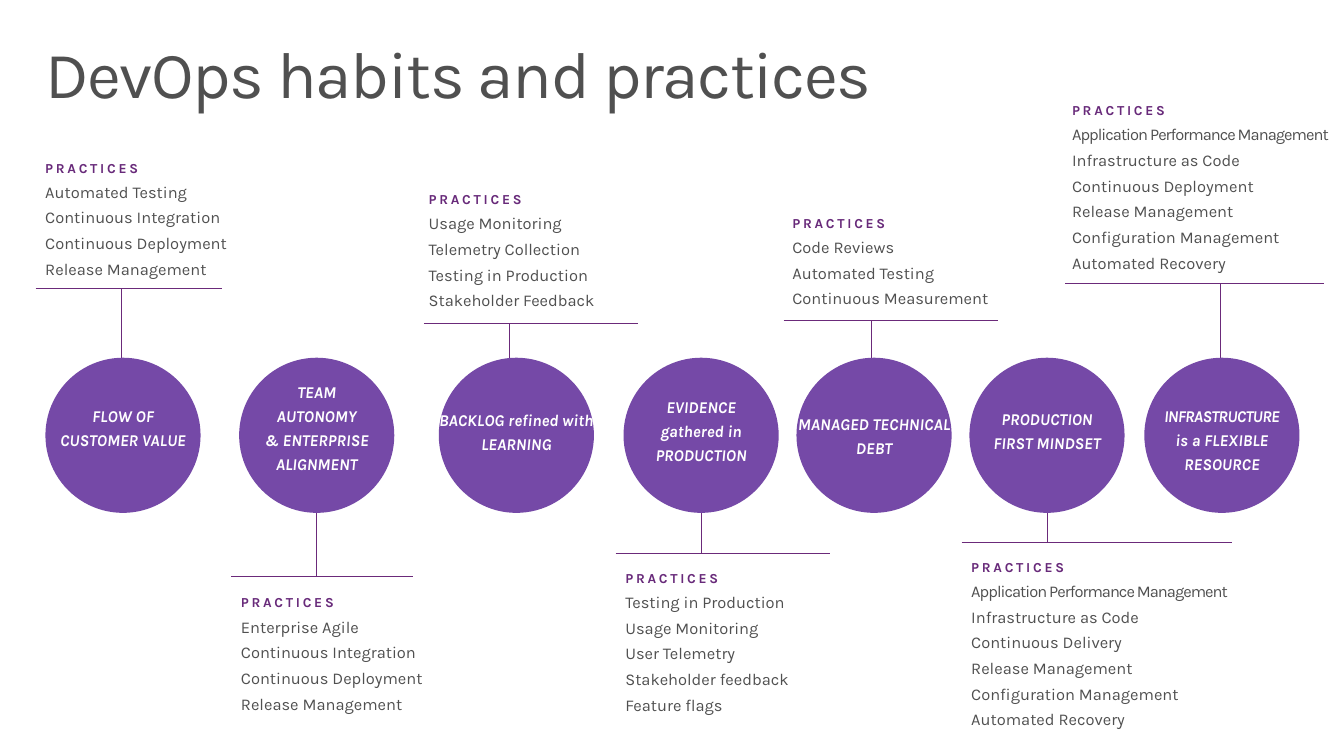
from dataclasses import dataclass

import pptx
import pptx.dml.color
import pptx.enum.shapes
import pptx.enum.text
import pptx.oxml.ns
import pptx.util
from lxml import etree

# Grid of 136 columns by 76.5 rows
SLIDE_WIDTH = pptx.util.Inches(13.6)
SLIDE_HEIGHT = pptx.util.Inches(7.65)
COLUMN = SLIDE_WIDTH / 136
ROW = SLIDE_HEIGHT / 76.5

COLORS = {"text": "505050", "heading": "682A7A", "rule": "6B2A7A",
          "circle": "7549A7", "label": "FFFFFF"}
FONT = "Karla"
CIRCLE_TOP = 36.2
CIRCLE_SIZE = 15.7
STEM_LENGTH = 9.9
LABEL_WIDTH = 18.8
LABEL_HEIGHT = 14.8


@dataclass(frozen=True)
class Style:
    size: float
    color: str
    spacing: float
    bold: bool = False
    italic: bool = False
    tracking: int = 0  # hundredths of a point
    align: pptx.enum.text.PP_ALIGN = pptx.enum.text.PP_ALIGN.LEFT


@dataclass(frozen=True)
class Line:
    text: str
    style: Style


@dataclass(frozen=True)
class Box:
    left: float
    top: float
    width: float
    height: float


@dataclass(frozen=True)
class Habit:
    circle_left: float
    label_middle: float
    label: tuple[str, ...]
    stem: float
    rule_left: float
    rule_right: float
    rule_row: float
    list_left: float
    list_top: float
    list_width: float
    practices: tuple[str, ...]


CENTER = pptx.enum.text.PP_ALIGN.CENTER
TITLE = Style(48, "text", 0.9, tracking=-100)
HEADING = Style(10, "heading", 1.5, bold=True, tracking=200)
PRACTICE = Style(12, "text", 1.3)
TIGHT_PRACTICE = Style(12, "text", 1.3, tracking=-70)
LABEL = Style(12, "label", 1.2, bold=True, italic=True, align=CENTER)
TIGHT_LABEL = Style(12, "label", 1.2, bold=True, italic=True, tracking=-50, align=CENTER)

# Long wordings that are set more tightly
TIGHT = {"Application Performance Management": TIGHT_PRACTICE,
         "INFRASTRUCTURE": TIGHT_LABEL}

HABITS = (
    Habit(4.6, 43.1, ("FLOW OF", "CUSTOMER VALUE"),
          12.3, 3.6, 22.5, 29.2, 3.6, 14.8, 24.6,
          ("Automated Testing", "Continuous Integration",
           "Continuous Deployment", "Release Management")),
    Habit(24.2, 43.1, ("TEAM", "AUTONOMY", "& ENTERPRISE", "ALIGNMENT"),
          32, 23.4, 41.8, 58.3, 23.4, 58.8, 24.6,
          ("Enterprise Agile", "Continuous Integration",
           "Continuous Deployment", "Release Management")),
    Habit(44.4, 43.5, ("BACKLOG refined with", "LEARNING"),
          51.5, 42.9, 64.6, 32.7, 42.4, 18, 24.6,
          ("Usage Monitoring", "Telemetry Collection",
           "Testing in Production", "Stakeholder Feedback")),
    Habit(63.1, 43.4, ("EVIDENCE", "gathered in", "PRODUCTION"),
          71, 62.3, 84, 56, 62.3, 56.3, 24.6,
          ("Testing in Production", "Usage Monitoring", "User Telemetry",
           "Stakeholder feedback", "Feature flags")),
    Habit(80.6, 43.9, ("MANAGED TECHNICAL", "DEBT"),
          88.2, 79.3, 101, 32.4, 79.2, 20.4, 24.6,
          ("Code Reviews", "Automated Testing", "Continuous Measurement")),
    Habit(98.1, 43.4, ("PRODUCTION", "FIRST MINDSET"),
          106, 97.3, 124.7, 54.9, 97.3, 55.2, 33.6,
          ("Application Performance Management", "Infrastructure as Code",
           "Continuous Delivery", "Release Management",
           "Configuration Management", "Automated Recovery")),
    Habit(115.8, 44.3, ("INFRASTRUCTURE", "is a FLEXIBLE", "RESOURCE"),
          123.5, 107.8, 134, 28.7, 107.5, 9, 28.8,
          ("Application Performance Management", "Infrastructure as Code",
           "Continuous Deployment", "Release Management",
           "Configuration Management", "Automated Recovery")),
)


def x(columns: float) -> int:
    return round(columns * COLUMN)


def y(rows: float) -> int:
    return round(rows * ROW)


def rgb(name: str) -> pptx.dml.color.RGBColor:
    return pptx.dml.color.RGBColor.from_string(COLORS[name])


def add_lines(slide, box: Box, lines: list[Line],
              anchor=pptx.enum.text.MSO_ANCHOR.TOP):
    frame = slide.shapes.add_textbox(
        x(box.left), y(box.top), x(box.width), y(box.height)).text_frame
    frame.word_wrap = True
    frame.vertical_anchor = anchor
    for index, line in enumerate(lines):
        paragraph = frame.add_paragraph() if index else frame.paragraphs[0]
        style = line.style
        paragraph.text = line.text
        paragraph.alignment = style.align
        paragraph.line_spacing = style.spacing
        font = paragraph.font
        font.name = FONT
        font.size = pptx.util.Pt(style.size)
        font.bold = style.bold
        font.italic = style.italic
        font.color.rgb = rgb(style.color)
        font._element.set("spc", str(style.tracking))
    return frame


def add_rule(slide, left: float, top: float, right: float, bottom: float) -> None:
    rule = slide.shapes.add_connector(
        pptx.enum.shapes.MSO_CONNECTOR.STRAIGHT, x(left), y(top), x(right), y(bottom))
    rule.line.color.rgb = rgb("rule")
    rule.line.width = pptx.util.Pt(0.5)
    etree.SubElement(rule._element.spPr, pptx.oxml.ns.qn("a:effectLst"))


def add_habit(slide, habit: Habit) -> None:
    # Stem runs from the rule to behind the circle
    reach = STEM_LENGTH if habit.rule_row < CIRCLE_TOP else -STEM_LENGTH
    add_rule(slide, habit.stem, habit.rule_row + reach, habit.stem, habit.rule_row)
    add_rule(slide, habit.rule_left, habit.rule_row, habit.rule_right, habit.rule_row)

    # Practices
    lines = [Line("PRACTICES", HEADING)]
    lines += [Line(text, TIGHT.get(text, PRACTICE)) for text in habit.practices]
    add_lines(slide, Box(habit.list_left, habit.list_top, habit.list_width,
                         3.5 + 2.65 * len(habit.practices)), lines)

    # Circle and its label
    circle = slide.shapes.add_shape(
        pptx.enum.shapes.MSO_SHAPE.OVAL, x(habit.circle_left), y(CIRCLE_TOP),
        x(CIRCLE_SIZE), y(CIRCLE_SIZE))
    circle.shadow.inherit = False
    circle.fill.solid()
    circle.fill.fore_color.rgb = rgb("circle")
    circle.line.fill.background()
    add_lines(slide,
              Box(habit.circle_left + (CIRCLE_SIZE - LABEL_WIDTH) / 2,
                  habit.label_middle - LABEL_HEIGHT / 2, LABEL_WIDTH, LABEL_HEIGHT),
              [Line(text, TIGHT.get(text, LABEL)) for text in habit.label],
              pptx.enum.text.MSO_ANCHOR.MIDDLE)


def main() -> None:
    presentation = pptx.Presentation()
    presentation.slide_width = SLIDE_WIDTH
    presentation.slide_height = SLIDE_HEIGHT
    slide = presentation.slides.add_slide(presentation.slide_layouts[6])

    # Title
    title = add_lines(slide, Box(3, 3.2, 130, 10),
                      [Line("DevOps habits and practices", TITLE)])
    title.margin_left = title.margin_right = x(1.6)
    title.margin_top = title.margin_bottom = y(1)

    for habit in HABITS:
        add_habit(slide, habit)
    presentation.save("out.pptx")


if __name__ == "__main__":
    main()
